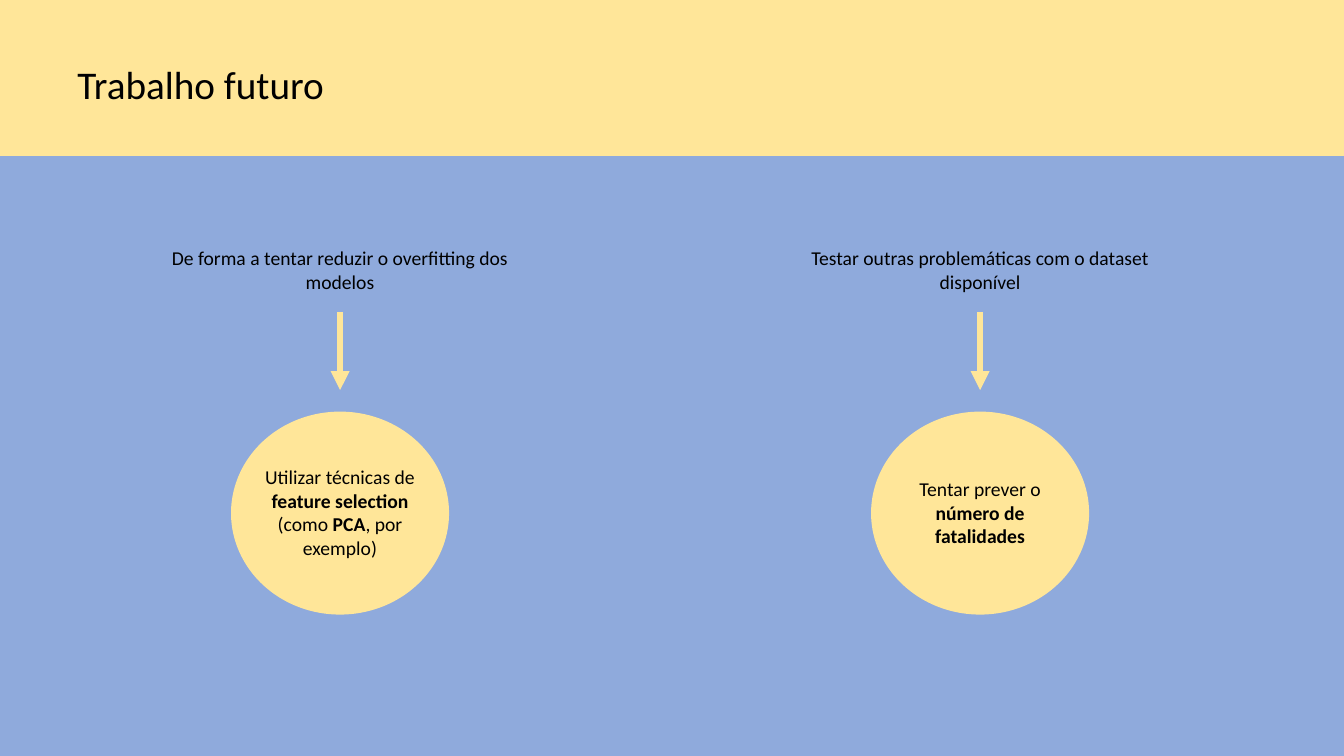
from lxml import etree
from pptx import Presentation
from pptx.dml.color import RGBColor
from pptx.enum.shapes import MSO_CONNECTOR, MSO_SHAPE
from pptx.enum.text import MSO_ANCHOR, PP_ALIGN
from pptx.oxml.ns import qn
from pptx.util import Cm, Pt

RECTANGLE, OVAL = MSO_SHAPE.RECTANGLE, MSO_SHAPE.OVAL
STRAIGHT = MSO_CONNECTOR.STRAIGHT
LEFT, CENTER = PP_ALIGN.LEFT, PP_ALIGN.CENTER
MIDDLE = MSO_ANCHOR.MIDDLE

COLORS = {"background": "8FAADC", "accent": "FFE699", "text": "000000"}
PAGE_WIDTH, PAGE_HEIGHT = 33.87, 19.05
CAPTION_WIDTH, CAPTION_TOP, CAPTION_HEIGHT = 10.26, 6.07, 1.45
ARROW_TOP, ARROW_BOTTOM = 7.87, 9.83
CIRCLE_WIDTH, CIRCLE_TOP, CIRCLE_HEIGHT = 5.46, 10.39, 5.08
IDEA_WIDTH, IDEA_MIDDLE = 4.72, 12.91

# Centre of the column, caption, height of the idea, its (text, bold) spans
COLUMNS = [
    (8.57, "De forma a tentar reduzir o overfitting dos modelos", 2.64,
     [("Utilizar técnicas de ", False), ("feature selection ", True),
      ("(como ", False), ("PCA", True), (", por exemplo)", False)]),
    (24.7, "Testar outras problemáticas com o dataset disponível", 2.06,
     [("Tentar prever o ", False), ("número de fatalidades", True)]),
]


def add_filled_shape(kind, left, top, width, height, color):
    shape = page.shapes.add_shape(kind, Cm(left), Cm(top), Cm(width), Cm(height))
    shape.shadow.inherit = False
    shape.fill.solid()
    for color_format in (shape.fill.fore_color, shape.line.color):
        color_format.rgb = RGBColor.from_string(COLORS[color])
    shape.line.width = Pt(1)


def add_text(left, top, width, height, spans, size=14, alignment=CENTER):
    """Add a text box with one paragraph made of (text, bold) spans."""
    box = page.shapes.add_textbox(Cm(left), Cm(top), Cm(width), Cm(height))
    box.text_frame.word_wrap = True
    box.text_frame.vertical_anchor = MIDDLE
    paragraph = box.text_frame.paragraphs[0]
    paragraph.alignment = alignment
    for text, bold in spans:
        span = paragraph.add_run()
        span.text = text
        span.font.color.rgb = RGBColor.from_string(COLORS["text"])
        for name, value in {"name": "Calibri", "size": Pt(size), "bold": bold}.items():
            setattr(span.font, name, value)


deck = Presentation()
deck.slide_width, deck.slide_height = Cm(PAGE_WIDTH), Cm(PAGE_HEIGHT)
page = deck.slides.add_slide(deck.slide_layouts[6])

add_filled_shape(RECTANGLE, 0, 0, PAGE_WIDTH, PAGE_HEIGHT, "background")
add_filled_shape(RECTANGLE, 0, -0.05, PAGE_WIDTH, 3.96, "accent")
add_text(1.7, 1.4, 17.88, 1.45, [("Trabalho futuro", False)], size=28, alignment=LEFT)

for center, caption, idea_height, idea in COLUMNS:
    add_text(center - CAPTION_WIDTH / 2, CAPTION_TOP, CAPTION_WIDTH, CAPTION_HEIGHT,
             [(caption, False)])

    arrow = page.shapes.add_connector(
        STRAIGHT, Cm(center), Cm(ARROW_TOP), Cm(center), Cm(ARROW_BOTTOM))
    arrow.line.color.rgb = RGBColor.from_string(COLORS["accent"])
    arrow.line.width = Pt(4.5)
    properties = arrow.element.spPr
    etree.SubElement(properties.find(qn("a:ln")), qn("a:tailEnd"), type="triangle")
    etree.SubElement(properties, qn("a:effectLst"))

    add_filled_shape(OVAL, center - CIRCLE_WIDTH / 2, CIRCLE_TOP,
                     CIRCLE_WIDTH, CIRCLE_HEIGHT, "accent")
    add_text(center - IDEA_WIDTH / 2, IDEA_MIDDLE - idea_height / 2,
             IDEA_WIDTH, idea_height, idea)

deck.save("out.pptx")
